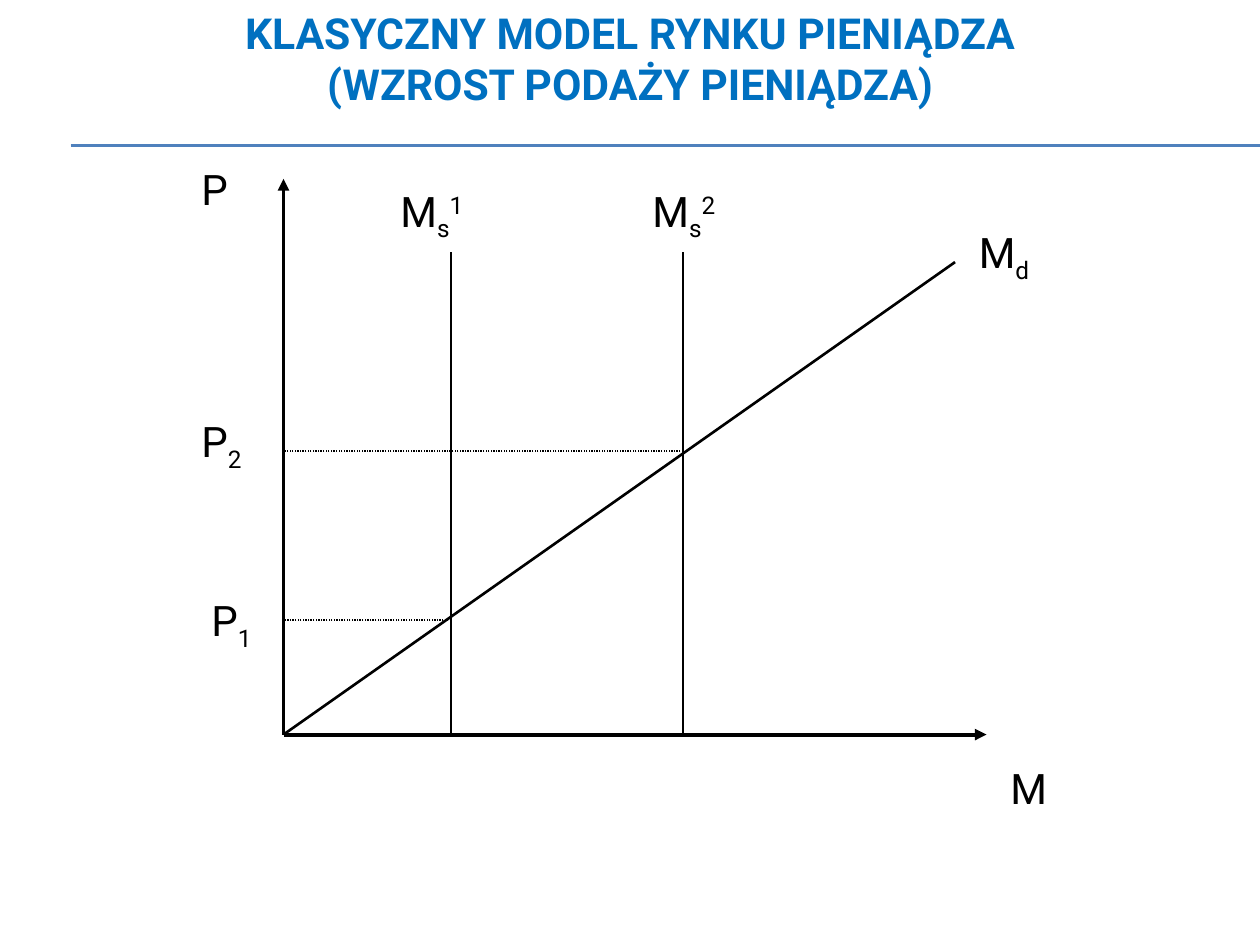
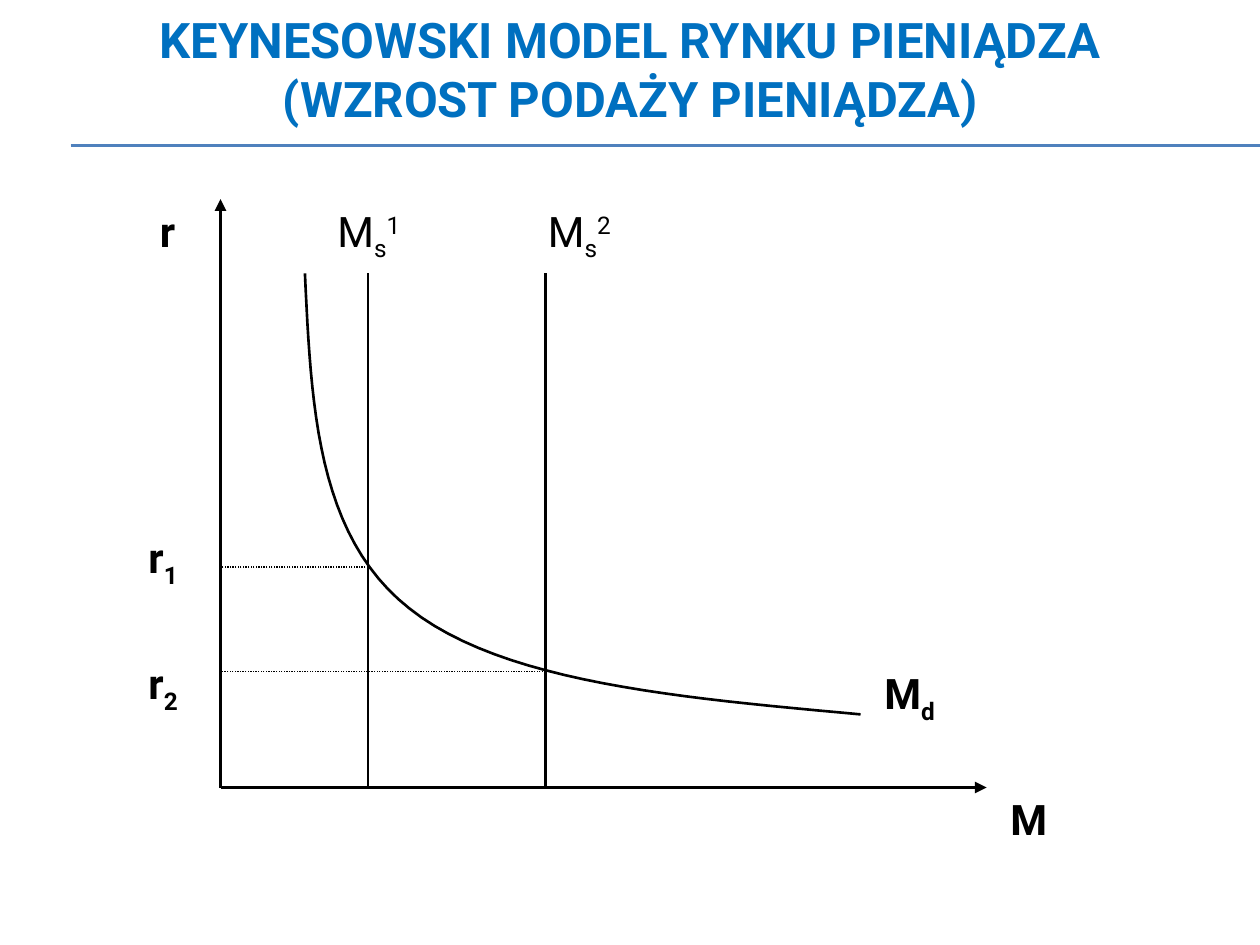
"""Builds two slides on money market models with a rising money supply."""
from copy import deepcopy

from lxml.etree import SubElement
from pptx import Presentation
from pptx.dml.color import RGBColor
from pptx.enum.dml import MSO_LINE
from pptx.enum.shapes import MSO_CONNECTOR
from pptx.enum.text import MSO_ANCHOR, MSO_AUTO_SIZE, PP_ALIGN
from pptx.oxml.ns import qn
from pptx.util import Inches, Pt

TITLE_BLUE = RGBColor(0x00, 0x70, 0xC0)
RULE_BLUE = RGBColor(0x4F, 0x81, 0xBD)
BLACK = RGBColor(0x00, 0x00, 0x00)
FONT = "Roboto"
SUBSCRIPT, SUPERSCRIPT = "-25000", "30000"
AXIS_WIDTH, CURVE_WIDTH, THIN_WIDTH = 2.25, 1.5, 0.75
SUBTITLE = "(WZROST PODAŻY PIENIĄDZA)"
AXIS_END = 7.83


class MarketDeck:
    """Holds the shared style and the current slide."""

    def __init__(self):
        self.deck = Presentation()
        self.deck.slide_width, self.deck.slide_height = Inches(10), Inches(7.5)
        self.slide = None

    def style(self, run, color, **values):
        """Apply the deck font and further font values to a run."""
        for name, value in {"name": FONT, **values}.items():
            setattr(run.font, name, value)
        run.font.color.rgb = color

    def new_slide(self, heading, size, height):
        """Start a slide with the double rule and a two-line title."""
        self.slide = self.deck.slides.add_slide(self.deck.slide_layouts[5])
        for y in (1.15, 1.16):
            self.line((0.56, y), (10, y), THIN_WIDTH, RULE_BLUE)
        title = self.slide.shapes.title
        place = {"left": 0.75, "top": 0, "width": 8.5, "height": height}
        for name, value in place.items():
            setattr(title, name, Inches(value))
        frame = title.text_frame
        frame.vertical_anchor = MSO_ANCHOR.MIDDLE
        frame.auto_size = MSO_AUTO_SIZE.NONE
        paragraph = frame.paragraphs[0]
        paragraph.alignment = PP_ALIGN.CENTER
        for text in (heading, SUBTITLE):
            if paragraph.runs:
                paragraph.add_line_break()
            run = paragraph.add_run()
            run.text = text
            self.style(run, TITLE_BLUE, size=Pt(size), bold=True)
        line_break = paragraph._p.find(qn("a:br"))
        line_break.append(deepcopy(run._r.rPr))

    def line(self, start, end, width, color=BLACK, dash=None, arrow=False):
        """Draw a straight line, dotted or with an arrowhead if asked."""
        points = [Inches(value) for value in (*start, *end)]
        connector = self.slide.shapes.add_connector(MSO_CONNECTOR.STRAIGHT, *points)
        connector.line.color.rgb = color
        connector.line.width = Pt(width)
        if dash:
            connector.line.dash_style = dash
        properties = connector._element.spPr
        if arrow:
            SubElement(properties.find(qn("a:ln")), qn("a:tailEnd"), type="triangle")
        SubElement(properties, qn("a:effectLst"))

    def curve(self, start, *segments, steps=24):
        """Draw a smooth open curve through cubic Bezier segments."""
        points, anchor = [], start
        for segment in segments:
            controls = (anchor, *segment)
            for step in range(1, steps + 1):
                t = step / steps
                weights = ((1 - t) ** 3, 3 * t * (1 - t) ** 2, 3 * t * t * (1 - t), t ** 3)
                points.append(tuple(
                    Inches(sum(w * c[axis] for w, c in zip(weights, controls)))
                    for axis in (0, 1)))
            anchor = segment[-1]
        builder = self.slide.shapes.build_freeform(Inches(start[0]), Inches(start[1]))
        builder.add_line_segments(points, close=False)
        outline = builder.convert_to_shape()
        outline.shadow.inherit = False
        outline.fill.background()
        outline.line.color.rgb = BLACK
        outline.line.width = Pt(CURVE_WIDTH)

    def label(self, left, top, width, symbol, sub="", sup="", bold=False):
        """Write a symbol with an optional subscript and superscript."""
        height = 0.55 if sub else 0.5
        box = self.slide.shapes.add_textbox(*map(Inches, (left, top, width, height)))
        frame = box.text_frame
        frame.word_wrap = True
        frame.auto_size = MSO_AUTO_SIZE.SHAPE_TO_FIT_TEXT
        paragraph = frame.paragraphs[0]
        paragraph.space_before = Pt(12)
        for text, baseline in ((symbol, None), (sub, SUBSCRIPT), (sup, SUPERSCRIPT)):
            if text:
                run = paragraph.add_run()
                run.text = text
                self.style(run, BLACK, size=Pt(24), bold=bold)
                if baseline:
                    run._r.get_or_add_rPr().set("baseline", baseline)

    def market(self, origin, axis_top, supply_top, equilibria):
        """Draw the axes, the supply lines and the dotted price levels."""
        x0, y0 = origin
        for end in ((x0, axis_top), (AXIS_END, y0)):
            self.line(origin, end, AXIS_WIDTH, arrow=True)
        for x, price in equilibria:
            self.line((x, supply_top), (x, y0), CURVE_WIDTH)
            self.line((x, price), (x0, price), THIN_WIDTH, dash=MSO_LINE.ROUND_DOT)


def classical_slide(deck):
    """Build the classical model."""
    deck.new_slide("KLASYCZNY MODEL RYNKU PIENIĄDZA", 24.4, 0.92)
    origin = (2.25, 5.83)
    deck.market(origin, 1.42, 2, [(3.58, 4.92), (5.42, 3.58)])
    deck.line(origin, (7.58, 2.08), CURVE_WIDTH)
    for label in (
        (1.5, 1.25, 0.58, "P"),
        (7.92, 6, 0.67, "M"),
        (3.08, 1.42, 0.83, "M", "s", "1"),
        (5.08, 1.42, 0.83, "M", "s", "2"),
        (7.67, 1.75, 0.67, "M", "d"),
        (1.58, 4.67, 0.58, "P", "1"),
        (1.5, 3.25, 0.67, "P", "2"),
    ):
        deck.label(*label)


def keynesian_slide(deck):
    """Build the Keynesian model."""
    deck.new_slide("KEYNESOWSKI MODEL RYNKU PIENIĄDZA", 28, 1.08)
    deck.market((1.75, 6.25), 1.58, 2.17, [(2.92, 4.5), (4.33, 5.33)])
    deck.curve((2.42, 2.17),
               ((2.47, 3.21), (2.51, 4.25), (3.25, 4.83)),
               ((3.99, 5.42), (5.41, 5.54), (6.83, 5.67)))
    for label in (
        (1.17, 1.58, 0.42, "r"),
        (7.92, 6.25, 0.5, "M"),
        (6.92, 5.25, 0.67, "M", "d"),
        (1.08, 4.17, 0.58, "r", "1"),
        (1.08, 5.17, 0.5, "r", "2"),
    ):
        deck.label(*label, bold=True)
    deck.label(2.58, 1.58, 0.75, "M", "s", "1")
    deck.label(4.25, 1.58, 0.92, "M", "s", "2")


def main():
    """Build both slides and save the deck."""
    deck = MarketDeck()
    classical_slide(deck)
    keynesian_slide(deck)
    deck.deck.save("out.pptx")


if __name__ == "__main__":
    main()
